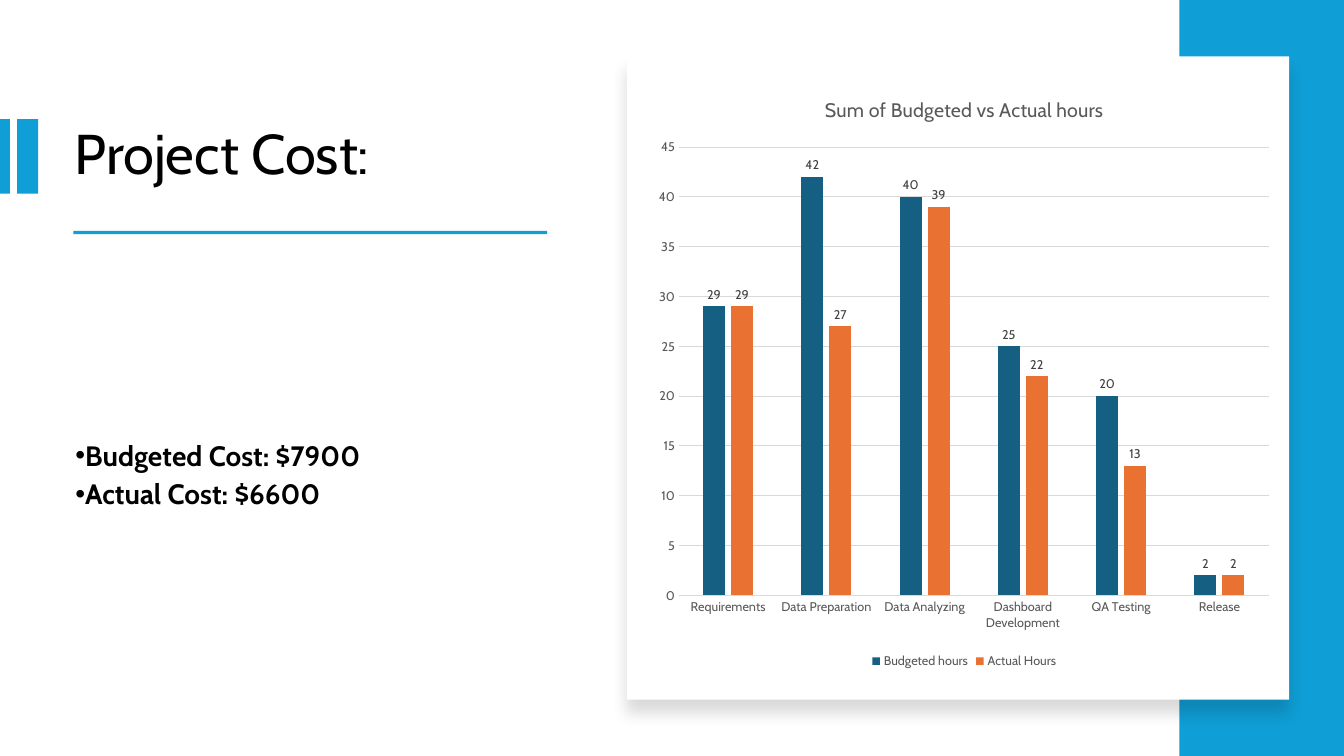
"""Build the project cost slide with its budgeted and actual hours chart."""
from lxml import etree
from pptx import Presentation
from pptx import util as u
from pptx.chart import data as chart_data
from pptx.dml.color import RGBColor
from pptx.enum import chart as charts, shapes, text
from pptx.oxml import parse_xml
from pptx.oxml.ns import nsdecls, qn


def paint(target, color):
    target.solid()
    target.fore_color.rgb = RGBColor.from_string(color)


def style(font, size, color, bold=False):
    font.name = "Cabin"
    font.size = u.Pt(size)
    font.bold = bold
    paint(font.fill, color)


BLUE, WHITE, BLACK = "0F9ED5", "FFFFFF", "000000"
GREY, RULE, LABEL = "595959", "D9D9D9", "404040"

deck = Presentation()
deck.slide_width, deck.slide_height = u.Cm(33.87), u.Cm(19.05)
page = deck.slides.add_slide(deck.slide_layouts[6])

rectangles = [
    (0, 3, 0.25, 1.88, BLUE),
    (0.43, 3, 0.53, 1.88, BLUE),
    (1.85, 5.82, 11.94, 0.08, BLUE),
    (29.72, 0, 4.15, 19.05, BLUE),
    (15.8, 1.42, 16.69, 16.21, WHITE),
]
for *place, color in rectangles:
    panel = page.shapes.add_shape(shapes.MSO_SHAPE.RECTANGLE, *map(u.Cm, place))
    panel.shadow.inherit = False
    paint(panel.fill, color)
    panel.line.fill.background()

effects = panel.fill._xPr.find(qn("a:effectLst"))
effects.append(parse_xml(
    f'<a:outerShdw {nsdecls("a")} blurRad="{u.Pt(11)}" dist="{u.Pt(10)}" dir="5400000" '
    'algn="t" rotWithShape="0"><a:srgbClr val="000000"><a:alpha val="15000"/>'
    '</a:srgbClr></a:outerShdw>'))

text_boxes = [
    ((1.63, 2.39, 12.67, 3.12), ["Project Cost:"], 40, False),
    ((1.65, 6.48, 12.67, 11.05), ["Budgeted Cost: $7900", "Actual Cost: $6600"], 20, True),
]
for place, lines, size, bulleted in text_boxes:
    box = page.shapes.add_textbox(*map(u.Cm, place))
    frame = box.text_frame
    frame.word_wrap = True
    frame.vertical_anchor = text.MSO_ANCHOR.MIDDLE
    frame.text = "\n".join(lines)
    for para in frame.paragraphs:
        para.line_spacing = 0.9
        if bulleted:
            para.space_after = u.Pt(6)
            properties = para._p.get_or_add_pPr()
            properties.set("marL", "0")
            properties.set("indent", str(-u.Cm(0.635)))
            etree.SubElement(properties, qn("a:buFont")).set("typeface", "Arial")
            etree.SubElement(properties, qn("a:buChar")).set("char", "•")
        for span in para.runs:
            style(span.font, size, BLACK, bulleted)

hours = chart_data.CategoryChartData()
hours.categories = ["Requirements", "Data Preparation", "Data Analyzing",
                    "Dashboard Development", "QA Testing", "Release"]
hours.add_series("Budgeted hours", [29, 42, 40, 25, 20, 2])
hours.add_series("Actual Hours", [29, 27, 39, 22, 13, 2])
chart = page.shapes.add_chart(
    charts.XL_CHART_TYPE.COLUMN_CLUSTERED,
    u.Cm(16.31), u.Cm(1.9), u.Cm(15.98), u.Cm(15.06), hours).chart
style(chart.font, 10, BLACK)

chart.has_title = True
title = chart.chart_title.text_frame
title.text = "Sum of Budgeted vs Actual hours"
style(title.paragraphs[0].runs[0].font, 14, GREY)
chart.chart_title.include_in_layout = False

chart.has_legend = True
chart.legend.position = charts.XL_LEGEND_POSITION.BOTTOM
chart.legend.include_in_layout = False
style(chart.legend.font, 9, GREY)

for axis in (chart.category_axis, chart.value_axis):
    axis.major_tick_mark = axis.minor_tick_mark = charts.XL_TICK_MARK.NONE
    style(axis.tick_labels.font, 9, GREY)
chart.value_axis.minimum_scale = 0
chart.value_axis.maximum_scale = 45
chart.value_axis.major_unit = 5
chart.value_axis.format.line.fill.background()
for line in (chart.category_axis.format.line, chart.value_axis.major_gridlines.format.line):
    line.width = u.Pt(0.75)
    paint(line.fill, RULE)

plot = chart.plots[0]
plot.gap_width, plot.overlap = 219, -27
plot.vary_by_categories = False
for series, color in zip(plot.series, ("156082", "E97132")):
    paint(series.format.fill, color)
    labels = series.data_labels
    labels.show_value = True
    labels.position = charts.XL_LABEL_POSITION.OUTSIDE_END
    style(labels.font, 9, LABEL)

plot_area = chart._chartSpace.find(".//" + qn("c:plotArea"))
for layout in plot_area.findall(qn("c:layout")):
    plot_area.remove(layout)
layout = etree.Element(qn("c:layout"))
manual = etree.SubElement(layout, qn("c:manualLayout"))
settings = {"layoutTarget": "inner", "xMode": "edge", "yMode": "edge",
            "x": 0.05, "y": 0.12, "w": 0.93, "h": 0.75}
for name, value in settings.items():
    etree.SubElement(manual, qn("c:" + name)).set("val", str(value))
plot_area.insert(0, layout)

deck.save("out.pptx")
